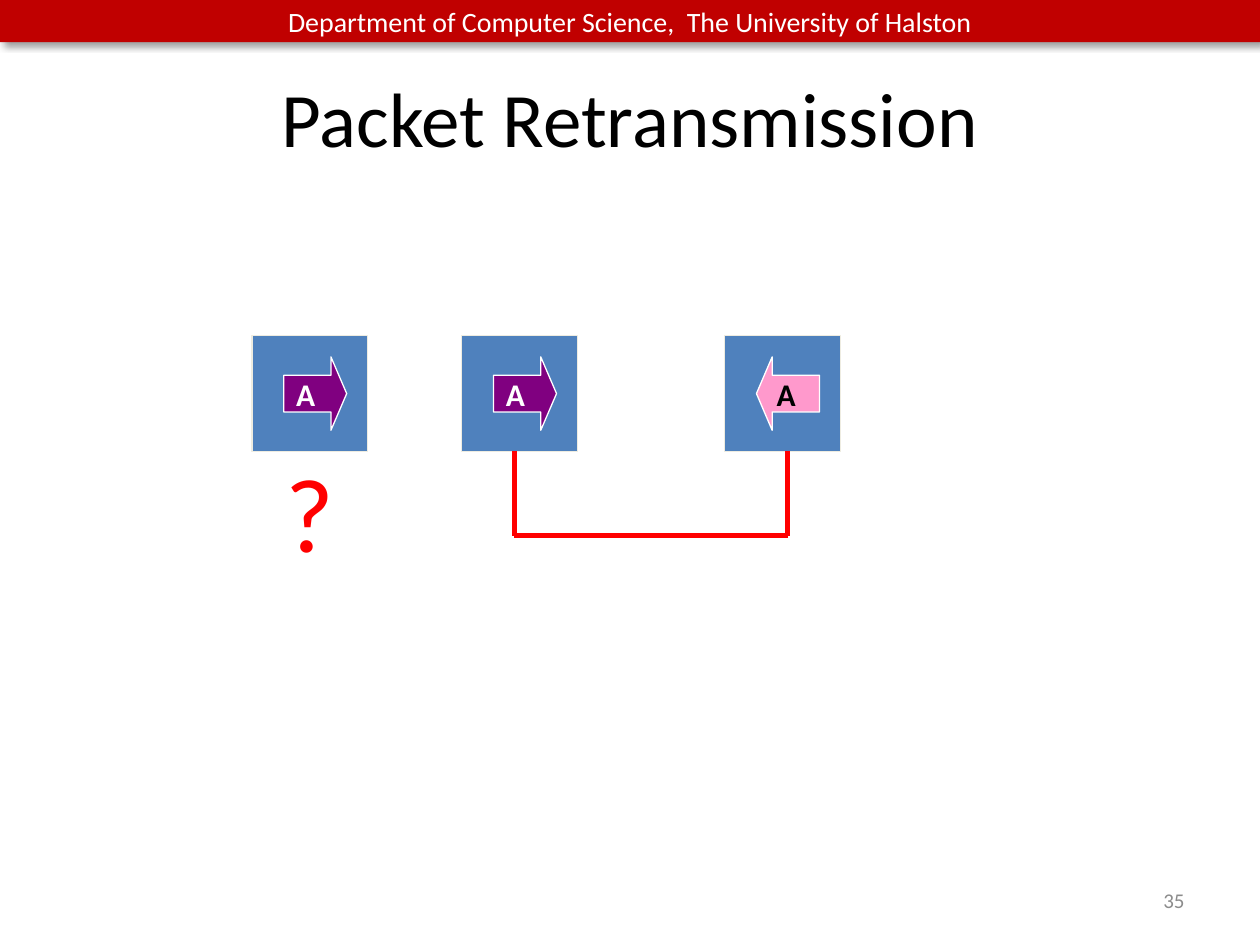
import pptx
import pptx.util
import pptx.dml.color
import pptx.enum.shapes
import pptx.enum.text
import pptx.oxml
import pptx.oxml.ns

Cm = pptx.util.Cm
Pt = pptx.util.Pt
SHAPE = pptx.enum.shapes.MSO_SHAPE
ALIGN = pptx.enum.text.PP_ALIGN
ANCHOR = pptx.enum.text.MSO_ANCHOR

# Content
COLORS = {
    "banner": "C00000", "white": "FFFFFF", "black": "000000",
    "node": "4F81BD", "node_edge": "EEECE1", "data": "800080",
    "reply": "FF99CC", "red": "FF0000", "gray": "8C8C8C",
}
FONT = "Calibri"
BANNER = "Department of Computer Science,  The University of Halston"

# Nodes: left edge, packet arrow, packet fill, label colour
NODES = [
    (5.08, SHAPE.RIGHT_ARROW, "data", "white"),
    (14.61, SHAPE.LEFT_ARROW, "reply", "black"),
    (9.31, SHAPE.RIGHT_ARROW, "data", "white"),
]
NODE_TOP, NODE_SIZE = 6.77, 2.33
PACKET_WIDTH, PACKET_HEIGHT = 1.27, 1.48
PACKET_INSET = 0.64

# Text boxes: text, left, top, width, height, size, colour, alignment, anchor
TEXTS = [
    ("Packet Retransmission", 1.27, 0.76, 22.86, 3.18, 44, "black", ALIGN.CENTER, ANCHOR.MIDDLE),
    ("?", 5.08, 8.89, 2.33, 2.79, 60, "red", ALIGN.CENTER, ANCHOR.TOP),
    ("35", 18.2, 17.65, 5.93, 1.01, 12, "gray", ALIGN.RIGHT, ANCHOR.MIDDLE),
]

# Link path below the nodes
LINK_LEFT, LINK_RIGHT, LINK_BOTTOM = 10.37, 15.88, 10.8
LINK_TOP = NODE_TOP + NODE_SIZE
LINK_POINTS = [(LINK_LEFT, LINK_TOP), (LINK_LEFT, LINK_BOTTOM),
               (LINK_RIGHT, LINK_BOTTOM), (LINK_RIGHT, LINK_TOP)]


def color(name):
    return pptx.dml.color.RGBColor.from_string(COLORS[name])


def write(shape, text, size, color_name, align, anchor=ANCHOR.MIDDLE, bold=False, wrap=True):
    frame = shape.text_frame
    frame.word_wrap = wrap
    frame.vertical_anchor = anchor
    paragraph = frame.paragraphs[0]
    paragraph.alignment = align
    run = paragraph.add_run()
    run.text = text
    run.font.name = FONT
    run.font.size = Pt(size)
    run.font.bold = bold
    run.font.color.rgb = color(color_name)


def add_block(kind, left, top, width, height, fill, edge=None):
    shape = slide.shapes.add_shape(kind, Cm(left), Cm(top), Cm(width), Cm(height))
    shape.shadow.inherit = False
    shape.fill.solid()
    shape.fill.fore_color.rgb = color(fill)
    if edge:
        shape.line.color.rgb = color(edge)
        shape.line.width = Pt(0.75)
    else:
        shape.line.fill.background()
    return shape


presentation = pptx.Presentation()
presentation.slide_width = Cm(25.4)
presentation.slide_height = Cm(19.05)
slide = presentation.slides.add_slide(presentation.slide_layouts[6])

# Banner with a soft drop shadow
banner = add_block(SHAPE.RECTANGLE, 0, 0, 25.4, 0.85, "banner")
write(banner, BANNER, 16, "white", ALIGN.CENTER)
effects = banner._element.spPr.find(pptx.oxml.ns.qn("a:effectLst"))
effects.append(pptx.oxml.parse_xml(
    f'<a:outerShdw {pptx.oxml.ns.nsdecls("a")} blurRad="{Pt(4)}" dist="{Pt(3)}" '
    f'dir="2700000" algn="tl" rotWithShape="0"><a:srgbClr val="{COLORS["black"]}">'
    '<a:alpha val="40000"/></a:srgbClr></a:outerShdw>'))

# Nodes, each holding a packet
for left, arrow, fill, label_color in NODES:
    add_block(SHAPE.RECTANGLE, left, NODE_TOP, NODE_SIZE, NODE_SIZE, "node", "node_edge")
    packet = add_block(arrow, left + PACKET_INSET, NODE_TOP + (NODE_SIZE - PACKET_HEIGHT) / 2,
                       PACKET_WIDTH, PACKET_HEIGHT, fill, "white")
    packet.adjustments[0] = 0.5
    packet.adjustments[1] = 0.25
    write(packet, "A", 18, label_color, ALIGN.LEFT, bold=True, wrap=False)

# Link between the second and third node
for start, end in zip(LINK_POINTS, LINK_POINTS[1:]):
    line = slide.shapes.add_connector(pptx.enum.shapes.MSO_CONNECTOR.STRAIGHT,
                                      *map(Cm, start + end))
    line.line.color.rgb = color("red")
    line.line.width = Pt(3)
    line._element.spPr.append(pptx.oxml.parse_xml(
        f'<a:effectLst {pptx.oxml.ns.nsdecls("a")}/>'))

# Title, question mark and slide number
for text, left, top, width, height, size, color_name, align, anchor in TEXTS:
    box = slide.shapes.add_textbox(Cm(left), Cm(top), Cm(width), Cm(height))
    write(box, text, size, color_name, align, anchor)

presentation.save("out.pptx")
